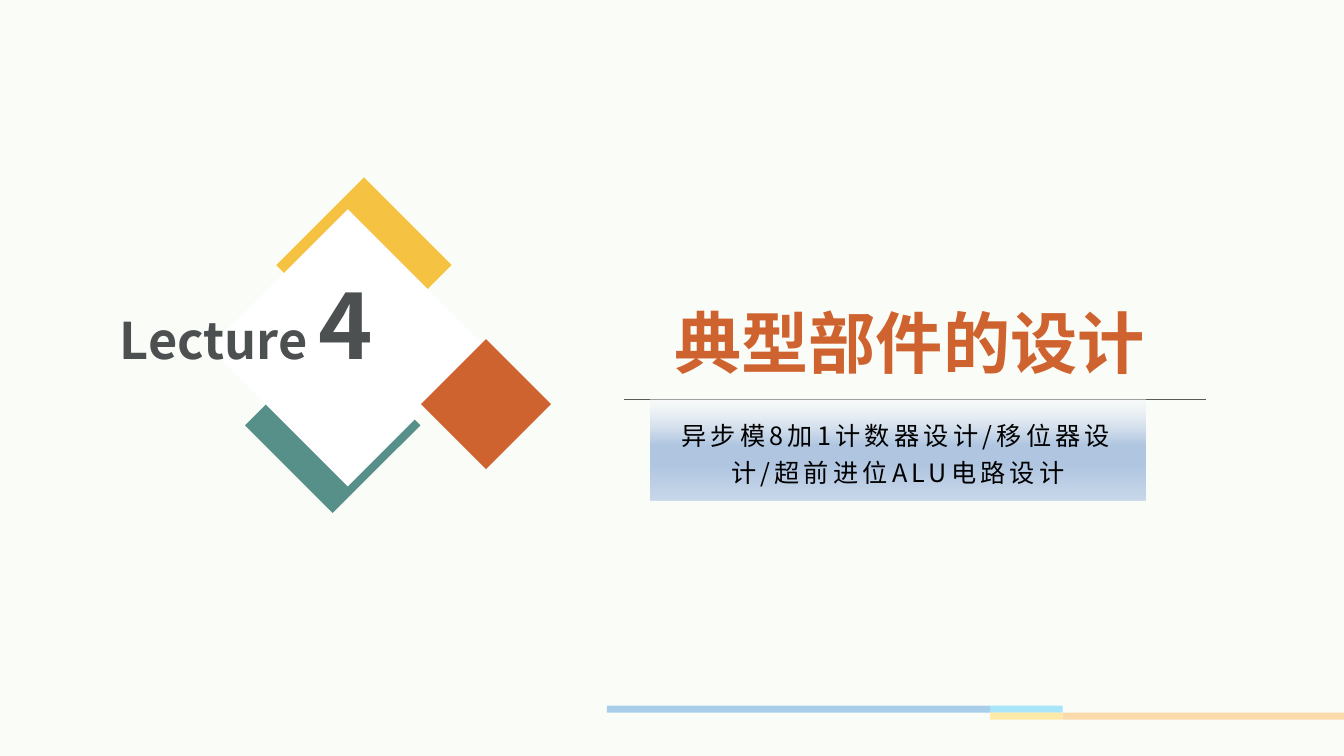
from dataclasses import dataclass

import pptx
import pptx.dml.color
import pptx.enum.shapes
import pptx.enum.text
import pptx.oxml
import pptx.oxml.ns
import pptx.util
from pptx.util import Inches

SHAPES = pptx.enum.shapes.MSO_SHAPE
ANCHOR = pptx.enum.text.MSO_ANCHOR


@dataclass(frozen=True)
class Theme:
    font: str = "Noto Sans CJK SC"
    background: str = "FAFCF7"
    white: str = "FFFFFF"
    orange: str = "CF632F"
    yellow: str = "F5C241"
    green: str = "579089"
    gray: str = "4C5050"
    black: str = "000000"
    rule: str = "595959"
    pale_blue: str = "A8CEEA"
    pale_cyan: str = "A8E4FA"
    pale_yellow: str = "FFE9A8"
    pale_orange: str = "FBDAAC"
    # position in percent, colour, opacity in percent
    panel_stops: tuple = ((0, "F6F9FC", 46), (45, "B0C6E1", 100),
                          (64, "B0C6E1", 100), (100, "CAD9EB", 100))
    title_size: int = 48
    lecture_size: int = 36
    number_size: int = 66
    topic_size: int = 18


THEME = Theme()


def rgb(color):
    return pptx.dml.color.RGBColor.from_string(color)


def add_block(slide, kind, left, top, width, height, color):
    shape = slide.shapes.add_shape(
        kind, Inches(left), Inches(top), Inches(width), Inches(height))
    shape.shadow.inherit = False
    shape.fill.solid()
    shape.fill.fore_color.rgb = rgb(color)
    shape.line.fill.background()
    return shape


def add_diamond(slide, center_x, center_y, size, color):
    add_block(slide, SHAPES.DIAMOND, center_x - size / 2, center_y - size / 2,
              size, size, color)


def fill_gradient(shape, stops):
    """Give the shape a top-to-bottom gradient with any number of stops."""
    shape.fill.gradient()
    gradient = shape.fill._xPr.find(pptx.oxml.ns.qn("a:gradFill"))
    stop_xml = "".join(
        f'<a:gs pos="{position * 1000}"><a:srgbClr val="{color}">'
        f'<a:alpha val="{opacity * 1000}"/></a:srgbClr></a:gs>'
        for position, color, opacity in stops)
    gradient.getparent().replace(gradient, pptx.oxml.parse_xml(
        f'<a:gradFill {pptx.oxml.ns.nsdecls("a")} rotWithShape="1">'
        f'<a:gsLst>{stop_xml}</a:gsLst><a:lin ang="5400000" scaled="0"/>'
        '</a:gradFill>'))


def add_rule(slide, left, right, y):
    connector = slide.shapes.add_connector(
        pptx.enum.shapes.MSO_CONNECTOR.STRAIGHT,
        Inches(left), Inches(y), Inches(right), Inches(y))
    connector.line.color.rgb = rgb(THEME.rule)
    connector.line.width = pptx.util.Pt(0.25)
    properties = connector._element.spPr
    properties.append(properties.makeelement(pptx.oxml.ns.qn("a:effectLst"), {}))


def add_text_box(slide, left, top, width, height):
    return slide.shapes.add_textbox(
        Inches(left), Inches(top), Inches(width), Inches(height))


def write_line(shape, runs, color, anchor, spacing, bold=False, tracking=0):
    """Fill the shape with one centred paragraph of (text, size) runs."""
    frame = shape.text_frame
    frame.word_wrap = True
    frame.vertical_anchor = anchor
    paragraph = frame.paragraphs[0]
    paragraph.alignment = pptx.enum.text.PP_ALIGN.CENTER
    paragraph.line_spacing = spacing
    for text, size in runs:
        run = paragraph.add_run()
        run.text = text
        run.font.size = pptx.util.Pt(size)
        run.font.bold = bold
        run.font.color.rgb = rgb(color)
        run.font.name = THEME.font
        properties = run.font._element
        properties.append(properties.makeelement(
            pptx.oxml.ns.qn("a:ea"), {"typeface": THEME.font}))
        if tracking:
            properties.set("spc", str(tracking * 100))
    return paragraph


def add_footer_bars(slide):
    height = 0.07
    for left, right, row, color in (
            (6.02, 9.82, 0, THEME.pale_blue),
            (9.82, 10.54, 0, THEME.pale_cyan),
            (9.82, 10.54, 1, THEME.pale_yellow),
            (10.54, 13.33, 1, THEME.pale_orange)):
        add_block(slide, SHAPES.RECTANGLE, left, 7 + row * height,
                  right - left, height, color)


def add_lecture_emblem(slide):
    for center_x, center_y, size, color in (
            (3.3, 4.22, 1.74, THEME.green),
            (3.61, 2.63, 1.74, THEME.yellow),
            (3.45, 3.45, 2.75, THEME.white),
            (4.82, 4.01, 1.29, THEME.orange)):
        add_diamond(slide, center_x, center_y, size, color)
    label = add_text_box(slide, 0.85, 3.19, 3.19, 0.62)
    label.text_frame.margin_top = label.text_frame.margin_bottom = 0
    paragraph = write_line(
        label, [("Lecture ", THEME.lecture_size), ("4", THEME.number_size)],
        THEME.gray, ANCHOR.MIDDLE, pptx.util.Pt(35.8), bold=True)
    paragraph.space_before = pptx.util.Pt(10)


def add_title(slide):
    write_line(add_text_box(slide, 6.13, 3.03, 5.78, 1.29),
               [("典型部件的设计", THEME.title_size)],
               THEME.orange, ANCHOR.TOP, 0.9, bold=True)


def add_topics(slide):
    add_rule(slide, 6.19, 11.96, 3.96)
    panel = add_block(slide, SHAPES.RECTANGLE, 6.45, 3.96, 4.91, 1.01, THEME.white)
    fill_gradient(panel, THEME.panel_stops)
    write_line(panel, [("异步模8加1计数器设计/移位器设计/超前进位ALU电路设计",
                        THEME.topic_size)],
               THEME.black, ANCHOR.MIDDLE, 1.23, tracking=3)


def main():
    presentation = pptx.Presentation()
    presentation.slide_width = Inches(13.33)
    presentation.slide_height = Inches(7.5)
    slide = presentation.slides.add_slide(presentation.slide_layouts[6])
    slide.background.fill.solid()
    slide.background.fill.fore_color.rgb = rgb(THEME.background)
    add_footer_bars(slide)
    add_title(slide)
    add_lecture_emblem(slide)
    add_topics(slide)
    presentation.save("out.pptx")


if __name__ == "__main__":
    main()
